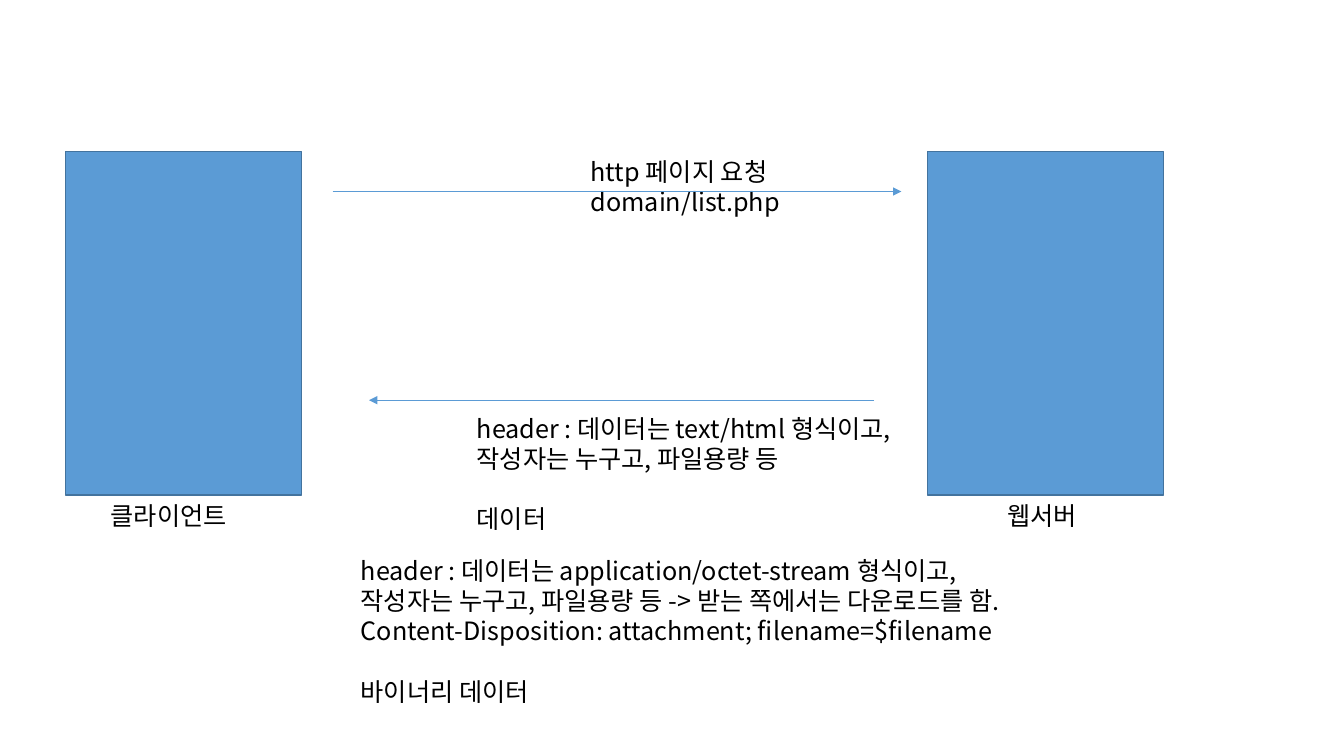
from dataclasses import dataclass

from lxml.etree import SubElement
from pptx import Presentation
from pptx.dml.color import RGBColor as Rgb
from pptx.enum.shapes import MSO_CONNECTOR as Link, MSO_SHAPE as Form
from pptx.enum.text import MSO_AUTO_SIZE as Fit, PP_ALIGN as Align
from pptx.oxml.ns import qn
from pptx.util import Inches, Pt

FONT = "Noto Sans CJK KR"
BLUE, EDGE, BLACK = "5B9BD5", "43739E", "000000"
TOP, WIDE, HIGH = 1.5, 2.34, 3.41
GAP = 21.5


@dataclass
class Note:
    """A text box; the last line may stand apart from the rest."""
    left: float
    top: float
    width: float
    height: float
    lines: list[str]
    apart: bool = False


@dataclass
class Arrow:
    """A level arrow between two x positions."""
    start: float
    end: float
    y: float


def color(code: str) -> Rgb:
    """Turn a hex string into a colour."""
    return Rgb.from_string(code)


def draw_host(left: float) -> None:
    """Draw the block of one host."""
    box = slide.shapes.add_shape(Form.RECTANGLE, Inches(left), Inches(TOP),
                                 Inches(WIDE), Inches(HIGH))
    box.shadow.inherit = False
    box.fill.solid()
    box.fill.fore_color.rgb = color(BLUE)
    box.line.color.rgb = color(EDGE)
    box.line.width = Pt(1)


def draw_arrow(arrow: Arrow) -> None:
    """Draw a thin line with a triangle head at its end."""
    y = Inches(arrow.y)
    line = slide.shapes.add_connector(Link.STRAIGHT, Inches(arrow.start), y,
                                      Inches(arrow.end), y)
    line.line.color.rgb = color(BLUE)
    line.line.width = Pt(0.5)
    SubElement(line.line._get_or_add_ln(), qn("a:tailEnd"), type="triangle")
    SubElement(line._element.spPr, qn("a:effectLst"))


def draw_note(note: Note) -> None:
    """Draw the lines of a note, one paragraph each."""
    box = slide.shapes.add_textbox(Inches(note.left), Inches(note.top),
                                   Inches(note.width), Inches(note.height))
    frame = box.text_frame
    frame.word_wrap = False
    frame.auto_size = Fit.SHAPE_TO_FIT_TEXT
    frame.text = "\n".join(note.lines)
    for para in frame.paragraphs:
        para.alignment = Align.LEFT
        for run in para.runs:
            run.font.size = Pt(18)
            run.font.color.rgb = color(BLACK)
            run.font.name = FONT
            SubElement(run.font._element, qn("a:ea"), typeface=FONT)
    if note.apart:
        frame.paragraphs[-1].space_before = Pt(GAP)


deck = Presentation()
deck.slide_width, deck.slide_height = Inches(13.33), Inches(7.5)
slide = deck.slides.add_slide(deck.slide_layouts[6])

ask = Note(5.76, TOP, 2.11, 0.71, ["http 페이지 요청", "domain/list.php"])
names = [
    Note(1, TOP + HIGH, 1.46, 0.4, ["클라이언트"]),
    Note(9.89, TOP + HIGH, 0.96, 0.4, ["웹서버"]),
]
replies = [
    Note(4.63, 4.05, 4.52, 1.62, [
        "header : 데이터는 text/html 형식이고,",
        "작성자는 누구고, 파일용량 등",
        "데이터",
    ], apart=True),
    Note(3.48, 5.46, 7.37, 1.92, [
        "header : 데이터는 application/octet-stream 형식이고,",
        "작성자는 누구고, 파일용량 등 -> 받는 쪽에서는 다운로드를 함.",
        "Content-Disposition: attachment; filename=$filename",
        "바이너리 데이터",
    ], apart=True),
]

draw_note(ask)
for left in (0.65, 9.2):
    draw_host(left)
for name in names:
    draw_note(name)
for arrow in (Arrow(3.3, 8.94, 1.9), Arrow(8.67, 3.66, 3.97)):
    draw_arrow(arrow)
for reply in replies:
    draw_note(reply)

deck.save("out.pptx")
